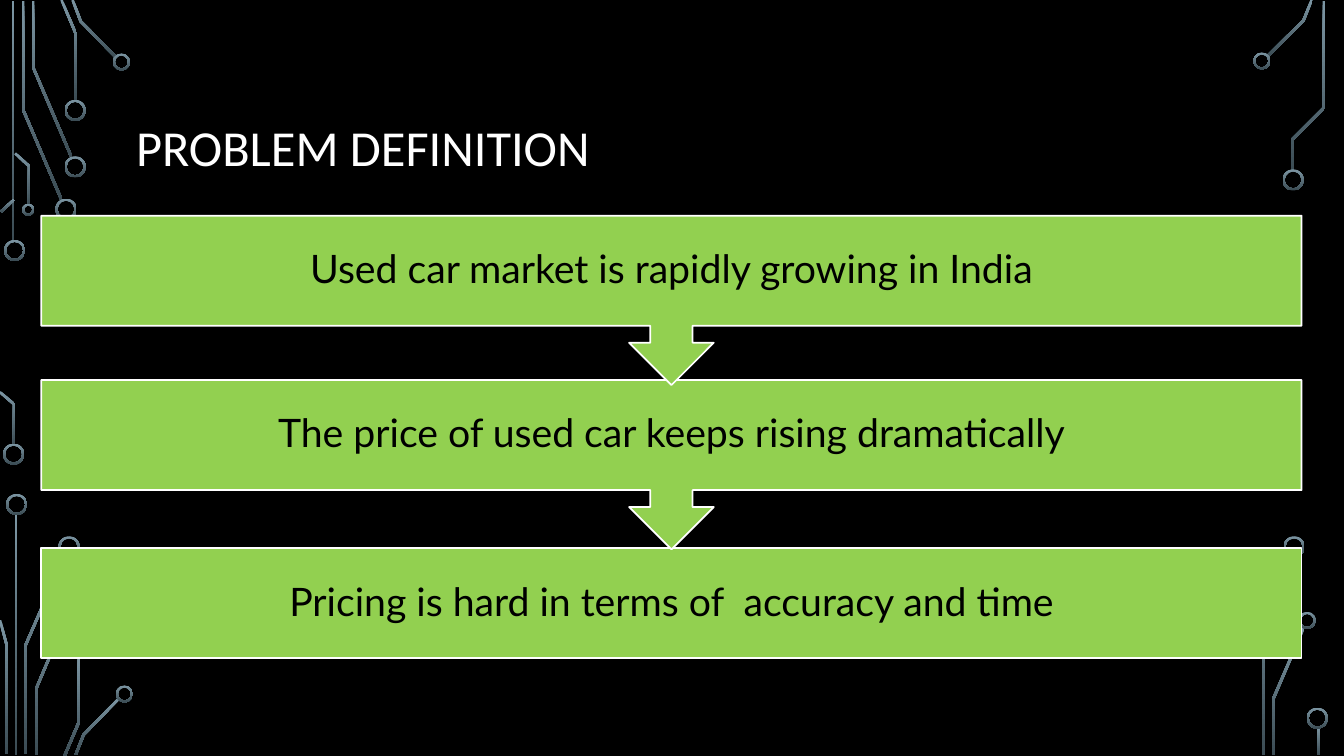
from pptx import Presentation
from pptx.dml.color import RGBColor
from pptx.enum.shapes import MSO_SHAPE
from pptx.enum.text import MSO_ANCHOR, PP_ALIGN
from pptx.util import Inches, Pt

BLACK = RGBColor(0x00, 0x00, 0x00)
WHITE = RGBColor(0xFF, 0xFF, 0xFF)
GREEN = RGBColor(0x92, 0xD0, 0x50)
STEEL_LIGHT = RGBColor(0x7C, 0x96, 0xA3)
STEEL_DARK = RGBColor(0x3B, 0x4C, 0x54)

TRACE_WIDTH = 0.025
RING_WIDTH = 0.02
TRACES = [
    [(0.13, 0.01), (0.13, 2.4)],
    [(0.61, 1.98), (0.23, 1.09), (0.23, 0.01)],
    [(0.71, 1.56), (0.33, 0.67), (0.33, 0.01)],
    [(0.75, 1), (0.75, 0.33), (0.61, 0)],
    [(1.15, 0.57), (0.8, 0.21), (0.72, 0)],
    [(0.01, 2.1), (0.14, 1.98)],
    [(0.14, 4.41), (0.14, 4.01), (0, 3.89)],
    [(0.29, 2.03), (0.29, 1.65), (0.15, 1.52)],
    [(0.16, 5.1), (0.16, 7.49)],
    [(0.25, 7.48), (0.25, 6.41), (0.64, 5.51)],
    [(0.07, 7.48), (0.07, 6.41), (0, 6.15)],
    [(0.36, 7.49), (0.36, 6.83), (0.74, 5.93)],
    [(0.64, 7.5), (0.78, 7.17), (0.78, 6.5)],
    [(0.75, 7.49), (0.83, 7.29), (1.18, 6.93)],
    [(12.57, 0.56), (12.93, 0.2), (13.01, 0)],
    [(12.63, 7.49), (12.63, 6.93), (12.93, 6.23)],
    [(12.82, 1.69), (12.82, 1.38), (13.13, 1.07), (13.13, 0.01)],
    [(12.53, 7.49), (12.53, 6.13), (12.83, 5.83), (12.83, 5.52)],
    [(13.08, 7.21), (13.08, 7.49)],
]
RINGS_BY_SIZE = {
    0.21: [(0.04, 2.38), (0.03, 4.4), (0.55, 1.97), (0.64, 1.55), (0.64, 0.99),
           (0.06, 4.9), (0.58, 5.32), (12.72, 1.68), (12.73, 5.32), (12.96, 7.02)],
    0.17: [(1.12, 0.53), (1.15, 6.8), (12.43, 0.52), (12.88, 6.07)],
    0.12: [(0.22, 2.02)],
}
STEPS = [
    (5.44, 1.09, MSO_SHAPE.RECTANGLE, "Pricing is hard in terms of  accuracy and time"),
    (3.77, 1.68, MSO_SHAPE.DOWN_ARROW_CALLOUT, "The price of used car keeps rising dramatically"),
    (2.14, 1.68, MSO_SHAPE.DOWN_ARROW_CALLOUT, "Used car market is rapidly growing in India"),
]


def shade_steel(shape):
    """Fill a circuit part with the vertical steel gradient."""
    shape.shadow.inherit = False
    shape.line.fill.background()
    shape.fill.gradient()
    shape.fill.gradient_angle = 270
    for stop, colour in zip(shape.fill.gradient_stops, (STEEL_LIGHT, STEEL_DARK)):
        stop.color.rgb = colour


def trace_outline(centreline):
    """Return the mitred outline around a centreline."""
    points = [complex(x, y) for x, y in centreline]
    normals = [1j * (b - a) / abs(b - a) for a, b in zip(points, points[1:])]
    offsets = []
    for before, after in zip(normals[:1] + normals, normals + normals[-1:]):
        mitre = (before + after) / (1 + (before * after.conjugate()).real)
        offsets.append(mitre * TRACE_WIDTH / 2)
    left = [p + o for p, o in zip(points, offsets)]
    right = [p - o for p, o in zip(points, offsets)]
    return [(Inches(p.real), Inches(p.imag)) for p in left + right[::-1]]


def add_trace(slide, centreline):
    """Draw one circuit trace."""
    start, *others = trace_outline(centreline)
    builder = slide.shapes.build_freeform(*start)
    builder.add_line_segments(others, close=True)
    shade_steel(builder.convert_to_shape())


def add_ring(slide, left, top, size):
    """Draw the ring at the end of a trace."""
    ring = slide.shapes.add_shape(
        MSO_SHAPE.DONUT, Inches(left), Inches(top), Inches(size), Inches(size))
    ring.adjustments[0] = RING_WIDTH / size
    shade_steel(ring)


def write(paragraph, text, font_name, size, colour):
    """Add one formatted run to a paragraph."""
    paragraph.line_spacing = 0.9
    run = paragraph.add_run()
    run.text = text
    run.font.name = font_name
    run.font.size = Pt(size)
    run.font.color.rgb = colour


def add_title(slide, text):
    """Place and format the slide title."""
    title = slide.shapes.title
    title.left, title.top = Inches(1.25), Inches(0.68)
    title.width, title.height = Inches(10.83), Inches(1.62)
    title.text_frame.vertical_anchor = MSO_ANCHOR.MIDDLE
    paragraph = title.text_frame.paragraphs[0]
    paragraph.alignment = PP_ALIGN.LEFT
    write(paragraph, text, "Calibri", 36, WHITE)


def add_step(slide, top, height, outline, text):
    """Draw one green step of the flow with its text."""
    step = slide.shapes.add_shape(
        outline, Inches(0.41), Inches(top), Inches(12.5), Inches(height))
    step.shadow.inherit = False
    step.fill.solid()
    step.fill.fore_color.rgb = GREEN
    step.line.color.rgb = WHITE
    step.line.width = Pt(1.25)
    frame = step.text_frame
    frame.word_wrap = True
    frame.vertical_anchor = MSO_ANCHOR.MIDDLE
    frame.margin_left = frame.margin_right = Inches(0.22)
    frame.margin_top = frame.margin_bottom = Inches(0.22)
    paragraph = frame.paragraphs[0]
    paragraph.alignment = PP_ALIGN.CENTER
    write(paragraph, text, "Lato", 28, BLACK)


def main():
    """Build the slide and save it."""
    deck = Presentation()
    deck.slide_width, deck.slide_height = Inches(13.33), Inches(7.5)
    slide = deck.slides.add_slide(deck.slide_layouts[5])
    slide.background.fill.solid()
    slide.background.fill.fore_color.rgb = BLACK
    for centreline in TRACES:
        add_trace(slide, centreline)
    for size, corners in RINGS_BY_SIZE.items():
        for left, top in corners:
            add_ring(slide, left, top, size)
    add_title(slide, "PROBLEM DEFINITION")
    for step in STEPS:
        add_step(slide, *step)
    deck.save("out.pptx")


if __name__ == "__main__":
    main()
